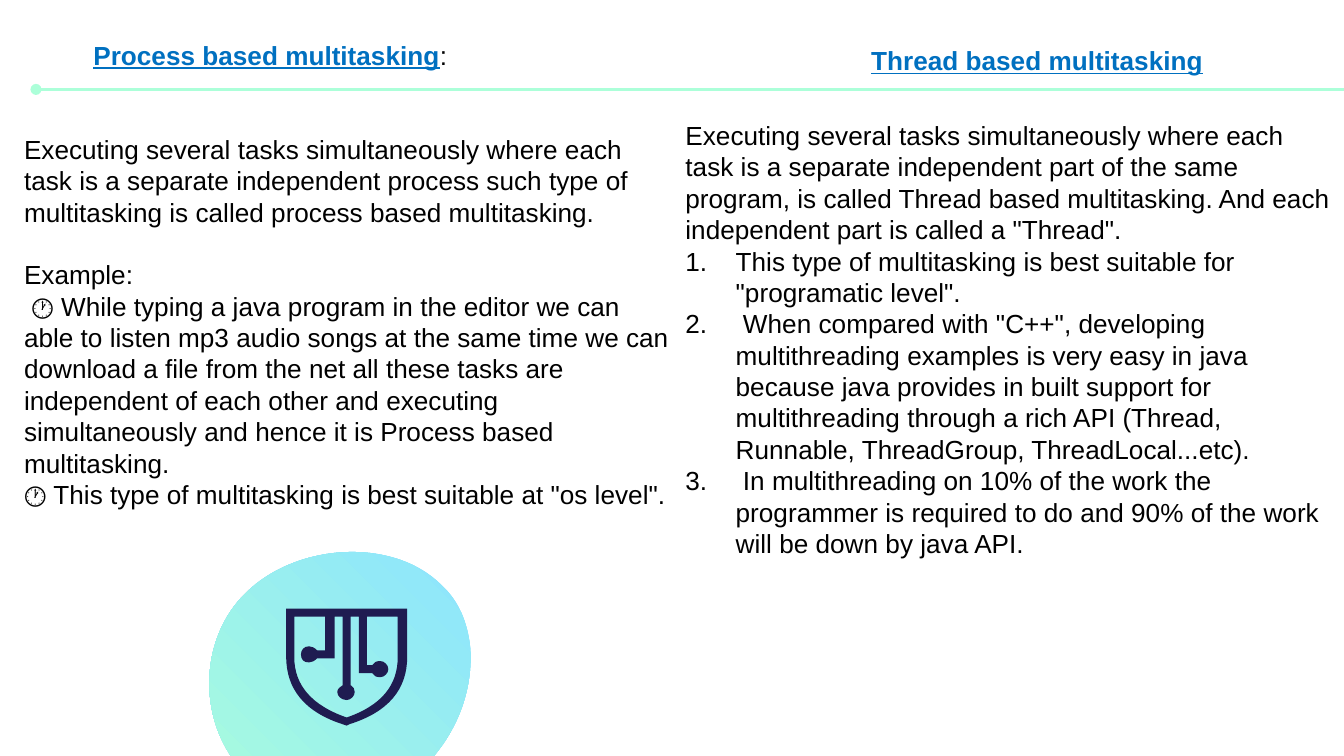
"""Build a slide comparing process based and thread based multitasking."""
from lxml.etree import SubElement
from pptx import Presentation
from pptx.dml.color import RGBColor
from pptx.enum.shapes import MSO_CONNECTOR as Connector
from pptx.enum.text import MSO_ANCHOR as Anchor, MSO_AUTO_SIZE as AutoSize, PP_ALIGN as Align
from pptx.oxml.ns import qn
from pptx.util import Cm, Pt

BLACK = RGBColor(0x00, 0x00, 0x00)
BLUE = RGBColor(0x00, 0x70, 0xC0)
MINT = RGBColor(0xAC, 0xFF, 0xD9)
SKY = RGBColor(0x8B, 0xE3, 0xFF)
NAVY = RGBColor(0x1F, 0x1C, 0x51)

FONT = "Arial"
SIZE = Pt(14)
BLANK_LINE = Pt(16.8)
HANGING = Cm(0.95)
GRID = Cm(2.54) // 100

BLOB = [[
    (329, 436), (289, 395, 201, 405, 169, 459), (147, 496, 153, 546, 182, 575),
    (183, 575, 184, 576, 185, 577), (254, 641, 355, 570, 350, 483),
    (348, 463, 341, 447, 329, 436),
]]
SHIELD = [
    [
        (296, 459), (296, 489), (296, 510, 284, 525, 258, 534),
        (232, 525, 219, 510, 219, 489), (219, 459), (242, 459), (242, 484), (236, 484),
        (234, 482, 232, 481, 230, 481), (226, 481, 224, 484, 224, 487),
        (224, 491, 226, 493, 230, 493), (232, 493, 234, 492, 236, 490),
        (249, 490), (249, 459), (255, 459), (255, 510),
        (253, 511, 251, 513, 251, 515), (251, 518, 254, 521, 258, 521),
        (261, 521, 264, 518, 264, 515), (264, 513, 263, 511, 261, 510),
        (261, 459), (267, 459), (267, 501), (277, 501),
        (278, 503, 280, 504, 283, 504), (286, 504, 289, 501, 289, 498),
        (289, 495, 286, 492, 283, 492), (280, 492, 278, 493, 277, 495),
        (273, 495), (273, 459),
    ],
    [
        (213, 453), (213, 489), (213, 513, 227, 530, 255, 539), (258, 540),
        (260, 539), (289, 530, 303, 513, 303, 489), (303, 453),
    ],
]

PROCESS_TEXT = [
    "Executing several tasks simultaneously where each task is a separate independent process "
    "such type of multitasking is called process based multitasking.",
    "Example:",
    " 🕐 While typing a java program in the editor we can able to listen mp3 audio songs at the "
    "same time we can download a file from the net all these tasks are independent of each other "
    "and executing simultaneously and hence it is Process based multitasking.",
    "🕐 This type of multitasking is best suitable at \"os level\".",
]
THREAD_TEXT = [
    "Executing several tasks simultaneously where each task is a separate independent part of the "
    "same program, is called Thread based multitasking. And each independent part is called a "
    "\"Thread\".",
    "This type of multitasking is best suitable for \"programatic level\".",
    " When compared with \"C++\", developing multithreading examples is very easy in java because "
    "java provides in built support for multithreading through a rich API (Thread, Runnable, "
    "ThreadGroup, ThreadLocal...etc).",
    " In multithreading on 10% of the work the programmer is required to do and 90% of the work "
    "will be down by java API.",
]


def contour_points(contour):
    """Return every end point and control point of a contour."""
    return [pair for segment in contour for pair in zip(segment[::2], segment[1::2])]


def bend(shape, contours):
    """Merge the three lines that stand for each curve into a cubic curve."""
    outline = shape._element.spPr.find(".//" + qn("a:path"))
    elements = iter(list(outline))
    for contour in contours:
        for segment in contour:
            group = [next(elements) for _ in range(len(segment) // 2)]
            if len(group) == 3:
                curve = outline.makeelement(qn("a:cubicBezTo"))
                group[0].addprevious(curve)
                for line in group:
                    curve.append(line[0])
                    outline.remove(line)
        next(elements)


def add_outline(slide, contours):
    """Add a closed freeform without line or shadow."""
    first, *others = [contour_points(contour) for contour in contours]
    builder = slide.shapes.build_freeform(*first[0], scale=GRID)
    builder.add_line_segments(first[1:], close=True)
    for points in others:
        builder.move_to(*points[0])
        builder.add_line_segments(points[1:], close=True)
    shape = builder.convert_to_shape()
    bend(shape, contours)
    shape.shadow.inherit = False
    shape.line.fill.background()
    return shape


def add_icon(slide):
    """Add the shield icon on its gradient blob."""
    blob = add_outline(slide, BLOB)
    blob.fill.gradient()
    blob.fill.gradient_angle = 225
    for stop, color in zip(blob.fill.gradient_stops, (SKY, MINT)):
        stop.color.rgb = color
    shield = add_outline(slide, SHIELD)
    shield.fill.solid()
    shield.fill.fore_color.rgb = NAVY


def add_rule(slide):
    """Add the horizontal line with a round start."""
    rule = slide.shapes.add_connector(Connector.STRAIGHT, Cm(0.68), Cm(1.69), Cm(25.4), Cm(1.69))
    rule.line.color.rgb = MINT
    rule.line.width = Pt(1.5)
    SubElement(rule.line._get_or_add_ln(), qn("a:headEnd"), type="oval")
    SubElement(rule._element.spPr, qn("a:effectLst"))


def place(shape, left, top, width, height, wrap):
    """Position a placeholder and return its prepared text frame."""
    shape.left, shape.top, shape.width, shape.height = left, top, width, height
    frame = shape.text_frame
    frame.word_wrap = wrap
    frame.auto_size = AutoSize.SHAPE_TO_FIT_TEXT
    frame.vertical_anchor = Anchor.TOP
    return frame


def format_paragraph(paragraph, numbered=False, space_before=Pt(0)):
    """Set the list marker, indent and spacing of a paragraph."""
    properties = paragraph._p.get_or_add_pPr()
    properties.set("marL", str(HANGING if numbered else 0))
    properties.set("indent", str(-HANGING if numbered else 0))
    if numbered:
        color = SubElement(properties, qn("a:buClr"))
        SubElement(color, qn("a:srgbClr"), val=str(BLACK))
        SubElement(properties, qn("a:buFont"), typeface="+mj-lt")
        SubElement(properties, qn("a:buAutoNum"), type="arabicPeriod")
    else:
        SubElement(properties, qn("a:buNone"))
    paragraph.alignment = Align.LEFT
    paragraph.line_spacing = 1.0
    paragraph.space_before = space_before


def add_run(paragraph, text, color=BLACK, strong=False):
    """Add a run, bold and underlined when strong."""
    run = paragraph.add_run()
    run.text = text
    run.font.name, run.font.size = FONT, SIZE
    run.font.bold = run.font.underline = strong
    run.font.color.rgb = color


def fill_heading(shape, left, top, width, text, ending=""):
    """Write an underlined heading with an optional plain ending."""
    paragraph = place(shape, left, top, width, Cm(0.86), False).paragraphs[0]
    format_paragraph(paragraph)
    add_run(paragraph, text, BLUE, True)
    if ending:
        add_run(paragraph, ending)


def fill_body(shape, left, top, height, texts, numbered_from=None, gap_before=None):
    """Write body paragraphs, numbering those from a given index."""
    frame = place(shape, left, top, Cm(12.74), height, True)
    for index, text in enumerate(texts):
        paragraph = frame.add_paragraph() if index else frame.paragraphs[0]
        numbered = numbered_from is not None and index >= numbered_from
        format_paragraph(paragraph, numbered, BLANK_LINE if index == gap_before else Pt(0))
        add_run(paragraph, text)


def main():
    """Create the presentation and save it."""
    presentation = Presentation()
    presentation.slide_width, presentation.slide_height = Cm(25.4), Cm(14.29)
    slide = presentation.slides.add_slide(presentation.slide_layouts[4])
    holders = {holder.placeholder_format.idx: holder for holder in slide.placeholders}
    spare = holders[1]._element
    spare.getparent().remove(spare)
    add_rule(slide)
    add_icon(slide)
    fill_heading(holders[0], Cm(1.51), Cm(0.61), Cm(7.21), "Process based multitasking", ":")
    fill_body(holders[2], Cm(0.2), Cm(2.39), Cm(7.44), PROCESS_TEXT, gap_before=1)
    fill_heading(holders[3], Cm(16.21), Cm(0.71), Cm(6.81), "Thread based multitasking")
    fill_body(holders[4], Cm(12.7), Cm(2.13), Cm(8.64), THREAD_TEXT, numbered_from=1)
    presentation.save("out.pptx")


if __name__ == "__main__":
    main()
